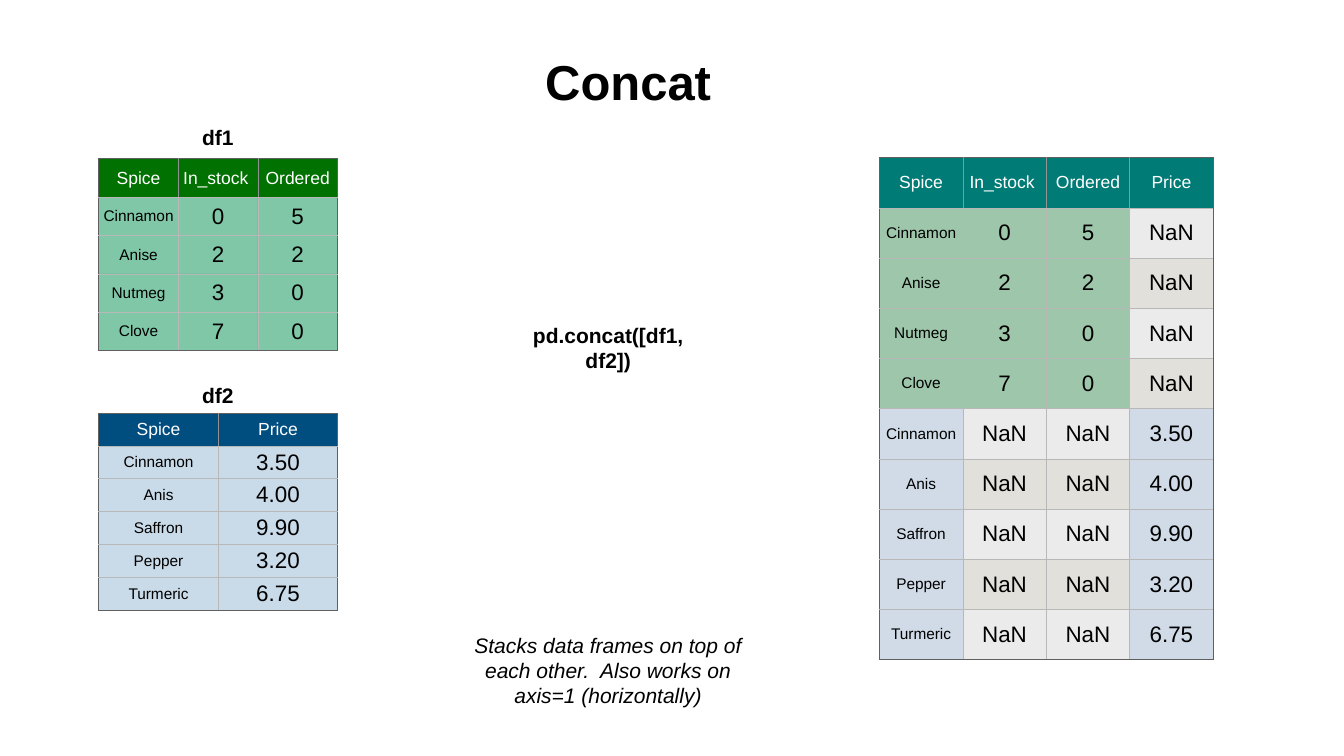
from lxml.etree import SubElement
from pptx import Presentation
from pptx.dml.color import RGBColor as RGB
from pptx.enum.text import MSO_ANCHOR as Anchor, MSO_AUTO_SIZE as AutoSize, PP_ALIGN as Align
from pptx.oxml.ns import qn
from pptx.util import Inches, Pt

THEME = {
    "font": "Arial",
    "text": "000000", "header_text": "FFFFFF",
    "stock_header": "017101", "price_header": "004D80", "result_header": "007B76",
    "stock_body": ("009051", 50), "price_body": ("005493", 21),
    "stock_rows": ("9EC6AA", 100), "price_rows": ("D0DBE7", 100),
    "missing": [("E1E0DA", 100), ("EBEBEB", 100)],
    "outline": "606060", "header_rule": "929292", "body_rule": "B8B8B8",
    "title_size": 70, "label_size": 30, "header_size": 25, "name_size": 22, "value_size": 32,
}
INSETS = {f"margin_{side}": Inches(0.06) for side in ("left", "top", "right", "bottom")}

# Slide with a grid of 100 columns by 100 rows
deck = Presentation()
deck.slide_width, deck.slide_height = Inches(26.67), Inches(15)
COL, ROW = deck.slide_width / 100, deck.slide_height / 100
slide = deck.slides.add_slide(deck.slide_layouts[5])


def write(frame, text, size, color, **style):
    paragraph = frame.paragraphs[0]
    paragraph.alignment = Align.CENTER
    run = paragraph.add_run()
    run.text = text
    run.font.color.rgb = RGB.from_string(color)
    for key, value in {"name": THEME["font"], "size": Pt(size), **style}.items():
        setattr(run.font, key, value)


def set_borders(cell, colors):
    for side, color in zip("LRTB", colors):
        line = SubElement(cell._tc.get_or_add_tcPr(), qn(f"a:ln{side}"), w=str(Pt(1)))
        SubElement(SubElement(line, qn("a:solidFill")), qn("a:srgbClr"), val=color)


# Data frames and their concatenation
df1 = [("Cinnamon", "0", "5"), ("Anise", "2", "2"), ("Nutmeg", "3", "0"), ("Clove", "7", "0")]
df2 = [("Cinnamon", "3.50"), ("Anis", "4.00"), ("Saffron", "9.90"),
       ("Pepper", "3.20"), ("Turmeric", "6.75")]
combined = [(*row, "NaN") for row in df1]
combined += [(spice, "NaN", "NaN", price) for spice, price in df2]

# Left, top, column width, row height, header colour, headings, records, fill of each record
frames = [
    (7.35, 21, 5.92, 5.08, "stock_header", ("Spice", "In_stock ", "Ordered"),
     df1, ["stock_body"] * len(df1)),
    (7.35, 54.73, 8.89, 4.24, "price_header", ("Spice", "Price"),
     df2, ["price_body"] * len(df2)),
    (65.43, 20.87, 6.21, 6.64, "result_header", ("Spice", "In_stock ", "Ordered", "Price"),
     combined, ["stock_rows"] * len(df1) + ["price_rows"] * len(df2)),
]
for left, top, width, height, header, headings, records, fills in frames:
    rows = [headings, *records]
    last_row, last_col = len(records), len(headings) - 1
    table = slide.shapes.add_table(
        len(rows), len(headings), int(left * COL), int(top * ROW),
        int(width * COL) * len(headings), int(height * ROW) * len(rows)).table
    table.first_row = table.horz_banding = False
    for column in table.columns:
        column.width = int(width * COL)
    for r, row in enumerate(rows):
        table.rows[r].height = int(height * ROW)
        for c, text in enumerate(row):
            cell = table.cell(r, c)
            for key, value in {**INSETS, "vertical_anchor": Anchor.MIDDLE}.items():
                setattr(cell, key, value)

            # Dark outline, lighter rules inside
            outline, rule = THEME["outline"], THEME["body_rule" if r else "header_rule"]
            set_borders(cell, (
                outline if c == 0 else rule,
                outline if c == last_col else rule,
                outline if r == 0 else rule,
                outline if r in (0, last_row) else rule))

            # Missing values alternate between two greys
            if r == 0:
                color, opacity = THEME[header], 100
            elif text == "NaN":
                color, opacity = THEME["missing"][r % 2]
            else:
                color, opacity = THEME[fills[r - 1]]
            cell.fill.solid()
            cell.fill.fore_color.rgb = RGB.from_string(color)
            if opacity < 100:
                tint = cell._tc.tcPr.find(f"{qn('a:solidFill')}/{qn('a:srgbClr')}")
                SubElement(tint, qn("a:alpha"), val=str(opacity * 1000))

            size = "header_size" if r == 0 else "value_size" if c else "name_size"
            write(cell.text_frame, text, THEME[size], THEME["text" if r else "header_text"])

# Title, frame labels, call and explanation: place, text, size, wrapping, style
texts = [
    ((40.23, 6.53, 13.01, 8.4), "Concat", "title_size", False, {"bold": True}),
    ((14.81, 16.07, 2.81, 4.07), "df1", "label_size", False, {"bold": True}),
    ((14.81, 50.2, 2.81, 4.07), "df2", "label_size", False, {"bold": True}),
    ((37.53, 43.93, 15.45, 4.07), "pd.concat([df1, df2])", "label_size", True, {"bold": True}),
    ((34.87, 83.27, 20.74, 10.67),
     "Stacks data frames on top of each other.  Also works on axis=1 (horizontally)",
     "label_size", True, {"italic": True}),
]
for (left, top, width, height), text, size, wraps, style in texts:
    place = [int(left * COL), int(top * ROW), int(width * COL), int(height * ROW)]
    if size == "title_size":
        label = slide.shapes.title
        label.left, label.top, label.width, label.height = place
    else:
        label = slide.shapes.add_textbox(*place)
    frame_format = {**INSETS, "vertical_anchor": Anchor.MIDDLE, "word_wrap": wraps,
                    "auto_size": AutoSize.SHAPE_TO_FIT_TEXT}
    for key, value in frame_format.items():
        setattr(label.text_frame, key, value)
    write(label.text_frame, text, THEME[size], THEME["text"], **style)

deck.save("out.pptx")
